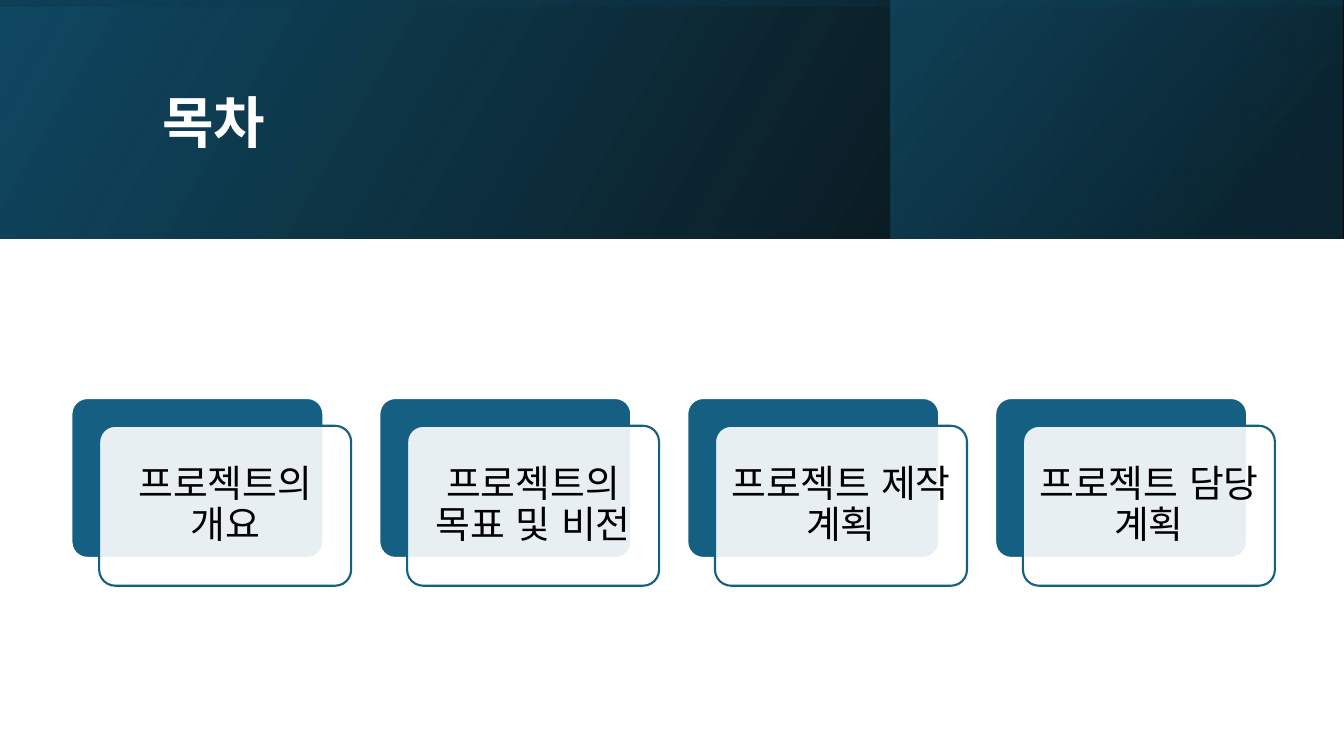
"""Build the contents slide: a layered gradient banner above a row of four topic cards."""
from lxml import etree
from pptx import Presentation
from pptx.dml.color import RGBColor
from pptx.enum.lang import MSO_LANGUAGE_ID
from pptx.enum.shapes import MSO_SHAPE
from pptx.enum.text import MSO_ANCHOR, PP_ALIGN
from pptx.oxml.ns import qn
from pptx.util import Cm, Pt

RECT, ROUNDED = MSO_SHAPE.RECTANGLE, MSO_SHAPE.ROUNDED_RECTANGLE
LEFT, CENTER = PP_ALIGN.LEFT, PP_ALIGN.CENTER
MIDDLE = MSO_ANCHOR.MIDDLE
KOREAN = MSO_LANGUAGE_ID.KOREAN

TITLE = "목차"
TOPICS = ["프로젝트의 개요", "프로젝트의 목표 및 비전", "프로젝트 제작 계획", "프로젝트 담당 계획"]

FONT = "Noto Sans CJK KR"
WHITE, BLACK, TEAL, NAVY = "FFFFFF", "000000", "156082", "104862"
SLIDE_W, SLIDE_H, BANNER_H = 33.87, 19.05, 6.02
TURNED_LEFT = (SLIDE_W - BANNER_H) / 2

BANNER_LAYERS = [
    {"box": (0, 0, SLIDE_W, BANNER_H), "rotation": 0, "angle": 30,
     "stops": [(0, BLACK, 96), (1, NAVY, 100)]},
    {"box": (22.45, 0, 11.38, BANNER_H), "rotation": 0, "angle": 40,
     "stops": [(0.19, "0B3041", 68), (1, TEAL, 48)]},
    {"box": (TURNED_LEFT, -TURNED_LEFT, BANNER_H, SLIDE_W), "rotation": 270, "angle": 10,
     "stops": [(0.23, NAVY, 16), (0.99, BLACK, 45)]},
]
TITLE_BOX = (3.84, 0.97, 27, 4.37)
TITLE_FORMAT = {"size": Pt(40), "bold": True}
TOPIC_FORMAT = {"size": Pt(27), "bold": False}

CARD_LEFT, CARD_TOP, CARD_W, CARD_H = 1.8, 10.03, 6.35, 4.03
CARD_PITCH = 7.76
PANEL_SHIFT = 0.7
PANEL_MARGIN = Cm(0.28)


def paint(color, value, opacity=100):
    """Set a colour from a hex string, with opacity in percent."""
    color.rgb = RGBColor.from_string(value)
    if opacity < 100:
        srgb = color._xFill.find(qn("a:srgbClr"))
        etree.SubElement(srgb, qn("a:alpha")).set("val", str(opacity * 1000))


def add_block(slide, kind, box):
    """Add a preset shape without a shadow."""
    block = slide.shapes.add_shape(kind, *map(Cm, box))
    block.shadow.inherit = False
    return block


def add_banner_layer(slide, box, rotation, angle, stops):
    """Add one mirrored gradient layer of the banner."""
    layer = add_block(slide, RECT, box)
    layer.rotation = rotation
    layer._element.spPr.xfrm.set("flipH", "1")
    layer.line.fill.background()
    layer.fill.gradient()
    layer.fill.gradient_angle = angle
    for stop, (position, value, opacity) in zip(layer.fill.gradient_stops, stops):
        stop.position = position
        stop.color.rgb = RGBColor.from_string(value)
        srgb = stop._gs.find(qn("a:srgbClr"))
        etree.SubElement(srgb, qn("a:alpha")).set("val", str(opacity * 1000))


def add_card_face(slide, box, face, opacity, edge):
    """Add one rounded face of a card."""
    card_face = add_block(slide, ROUNDED, box)
    card_face.adjustments[0] = 0.1
    card_face.fill.solid()
    card_face.fill.fore_color.rgb = RGBColor.from_string(face)
    if opacity < 100:
        srgb = card_face._element.spPr.find(qn("a:solidFill")).find(qn("a:srgbClr"))
        etree.SubElement(srgb, qn("a:alpha")).set("val", str(opacity * 1000))
    card_face.line.width = Pt(1.5)
    card_face.line.color.rgb = RGBColor.from_string(edge)
    return card_face


def write(frame, text, color, alignment, space_after, font_format):
    """Write one vertically centred paragraph."""
    frame.word_wrap = True
    frame.vertical_anchor = MIDDLE
    paragraph = frame.paragraphs[0]
    layout = {"alignment": alignment, "line_spacing": 0.9, "space_after": space_after}
    for name, value in layout.items():
        setattr(paragraph, name, value)
    run = paragraph.add_run()
    run.text = text
    run.font.color.rgb = RGBColor.from_string(color)
    for name, value in {"name": FONT, "language_id": KOREAN, **font_format}.items():
        setattr(run.font, name, value)
    east_asian = etree.Element(qn("a:ea"), typeface=FONT)
    run._r.rPr.find(qn("a:latin")).addnext(east_asian)


def add_card(slide, index, topic):
    """Add a topic card: a solid back and a translucent front panel."""
    left = CARD_LEFT + index * CARD_PITCH
    add_card_face(slide, (left, CARD_TOP, CARD_W, CARD_H), TEAL, 100, WHITE)
    panel_box = (left + PANEL_SHIFT, CARD_TOP + PANEL_SHIFT, CARD_W, CARD_H)
    panel = add_card_face(slide, panel_box, WHITE, 90, TEAL)
    for side in ("left", "top", "right", "bottom"):
        setattr(panel.text_frame, f"margin_{side}", PANEL_MARGIN)
    write(panel.text_frame, topic, BLACK, CENTER, Pt(9), TOPIC_FORMAT)


def main():
    """Build and save the slide."""
    deck = Presentation()
    deck.slide_width, deck.slide_height = Cm(SLIDE_W), Cm(SLIDE_H)
    slide = deck.slides.add_slide(deck.slide_layouts[6])
    for layer in BANNER_LAYERS:
        add_banner_layer(slide, **layer)
    title = slide.shapes.add_textbox(*map(Cm, TITLE_BOX))
    write(title.text_frame, TITLE, WHITE, LEFT, Pt(6), TITLE_FORMAT)
    for index, topic in enumerate(TOPICS):
        add_card(slide, index, topic)
    deck.save("out.pptx")


if __name__ == "__main__":
    main()
